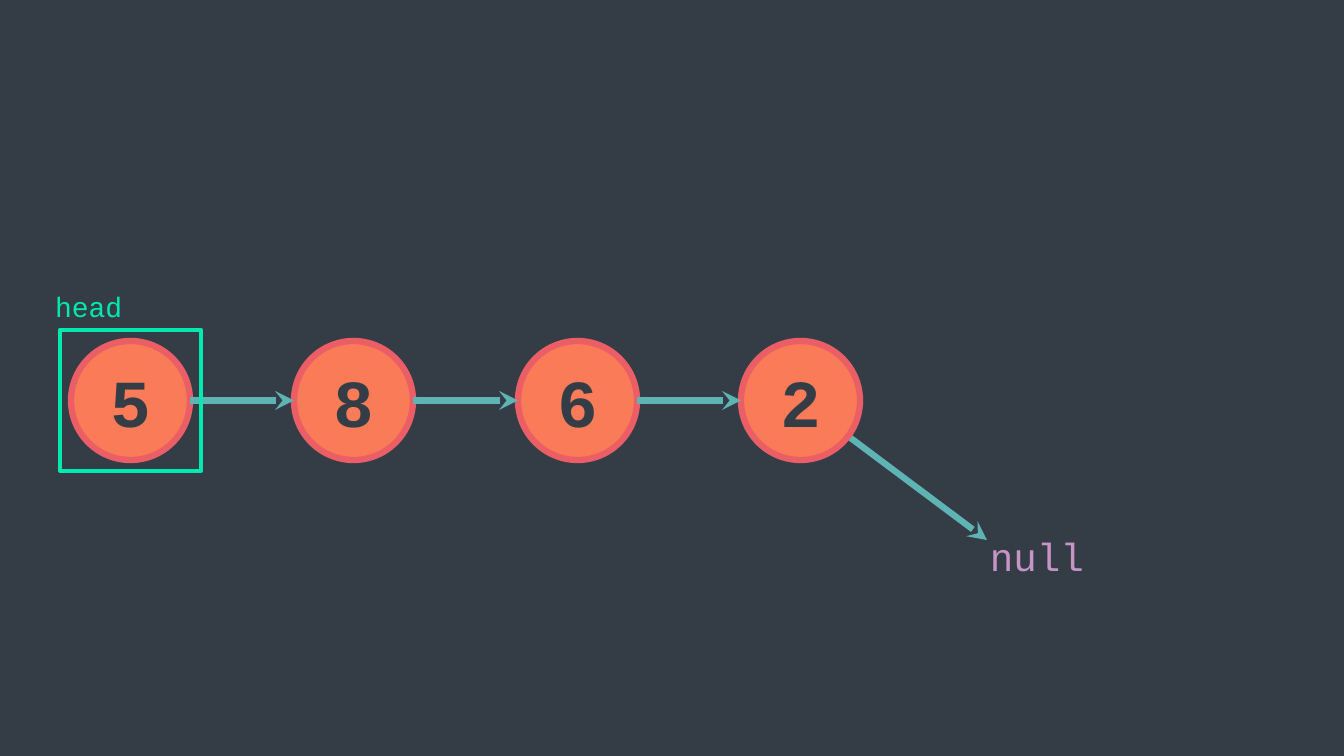
from pptx import Presentation
from pptx.dml.color import RGBColor
from pptx.enum.shapes import MSO_CONNECTOR, MSO_SHAPE
from pptx.enum.text import MSO_ANCHOR, MSO_AUTO_SIZE, PP_ALIGN
from pptx.oxml.ns import qn
from pptx.util import Inches, Pt
from lxml.etree import SubElement

SLATE = RGBColor(0x34, 0x3D, 0x46)
ORANGE = RGBColor(0xF9, 0x7B, 0x57)
RED = RGBColor(0xEC, 0x5E, 0x66)
TEAL = RGBColor(0x5E, 0xB4, 0xB4)
GREEN = RGBColor(0x00, 0xE9, 0xB1)
MAUVE = RGBColor(0xC6, 0x95, 0xC6)
FONT = "Courier New"

NODE_VALUES = ["5", "8", "6", "2"]
NODE_LEFT, NODE_TOP, NODE_SIZE = 71, 341, 119
LAST_NODE_LEFT = 741
HEAD_MARGIN = 11
NULL_ARROW_END = (987, 540)
LABELS = [
    # text, (left, top, width, height), left inset, size, colour
    ("head", (45, 285, 99, 44), 10, 20, GREEN),
    ("null", (974, 527, 149, 57), 16, 28, MAUVE),
]


def px(length):
    return round(length * Inches(1) / 100.8)


def write(shape, text, **font_values):
    span = shape.text_frame.paragraphs[0].add_run()
    span.text = text
    color = font_values.pop("color")
    for name, value in {"name": FONT, **font_values}.items():
        setattr(span.font, name, value)
    span.font.color.rgb = color


def add_outlined(page, kind, box, color, width):
    shape = page.shapes.add_shape(kind, *map(px, box))
    shape.shadow.inherit = False
    shape.line.color.rgb = color
    shape.line.width = Pt(width)
    return shape


def add_node(page, left, value):
    node = add_outlined(page, MSO_SHAPE.OVAL, (left, NODE_TOP, NODE_SIZE, NODE_SIZE), RED, 4.5)
    node.fill.solid()
    node.fill.fore_color.rgb = ORANGE
    frame = node.text_frame
    frame.margin_left = frame.margin_right = 0
    frame.vertical_anchor = MSO_ANCHOR.MIDDLE
    frame.paragraphs[0].alignment = PP_ALIGN.CENTER
    write(node, value, size=Pt(48), bold=True, color=SLATE)


def add_arrow(page, start, end):
    arrow = page.shapes.add_connector(MSO_CONNECTOR.STRAIGHT, *map(px, (*start, *end)))
    arrow.line.color.rgb = TEAL
    arrow.line.width = Pt(4.5)
    SubElement(arrow.line._get_or_add_ln(), qn("a:tailEnd"), type="stealth")
    SubElement(arrow._element.spPr, qn("a:effectLst"))


def add_label(page, text, box, inset, size, color):
    label = page.shapes.add_textbox(*map(px, box))
    frame = label.text_frame
    frame.word_wrap = True
    frame.auto_size = MSO_AUTO_SIZE.SHAPE_TO_FIT_TEXT
    frame.margin_left = px(inset)
    write(label, text, size=Pt(size), color=color)


def main():
    deck = Presentation()
    deck.slide_width, deck.slide_height = px(1344), px(756)
    page = deck.slides.add_slide(deck.slide_layouts[6])
    page.background.fill.solid()
    page.background.fill.fore_color.rgb = SLATE

    pitch = (LAST_NODE_LEFT - NODE_LEFT) / (len(NODE_VALUES) - 1)
    lefts = [NODE_LEFT + round(index * pitch) for index in range(len(NODE_VALUES))]
    middle = NODE_TOP + NODE_SIZE / 2

    add_arrow(page, (lefts[-1] + NODE_SIZE / 2, middle), NULL_ARROW_END)
    for left, value in zip(lefts, NODE_VALUES):
        add_node(page, left, value)
    for left, next_left in zip(lefts, lefts[1:]):
        add_arrow(page, (left + NODE_SIZE, middle), (next_left, middle))

    frame_size = NODE_SIZE + 2 * HEAD_MARGIN
    head_box = (NODE_LEFT - HEAD_MARGIN, NODE_TOP - HEAD_MARGIN, frame_size, frame_size)
    add_outlined(page, MSO_SHAPE.RECTANGLE, head_box, GREEN, 3).fill.background()
    for label in LABELS:
        add_label(page, *label)
    deck.save("out.pptx")


if __name__ == "__main__":
    main()
